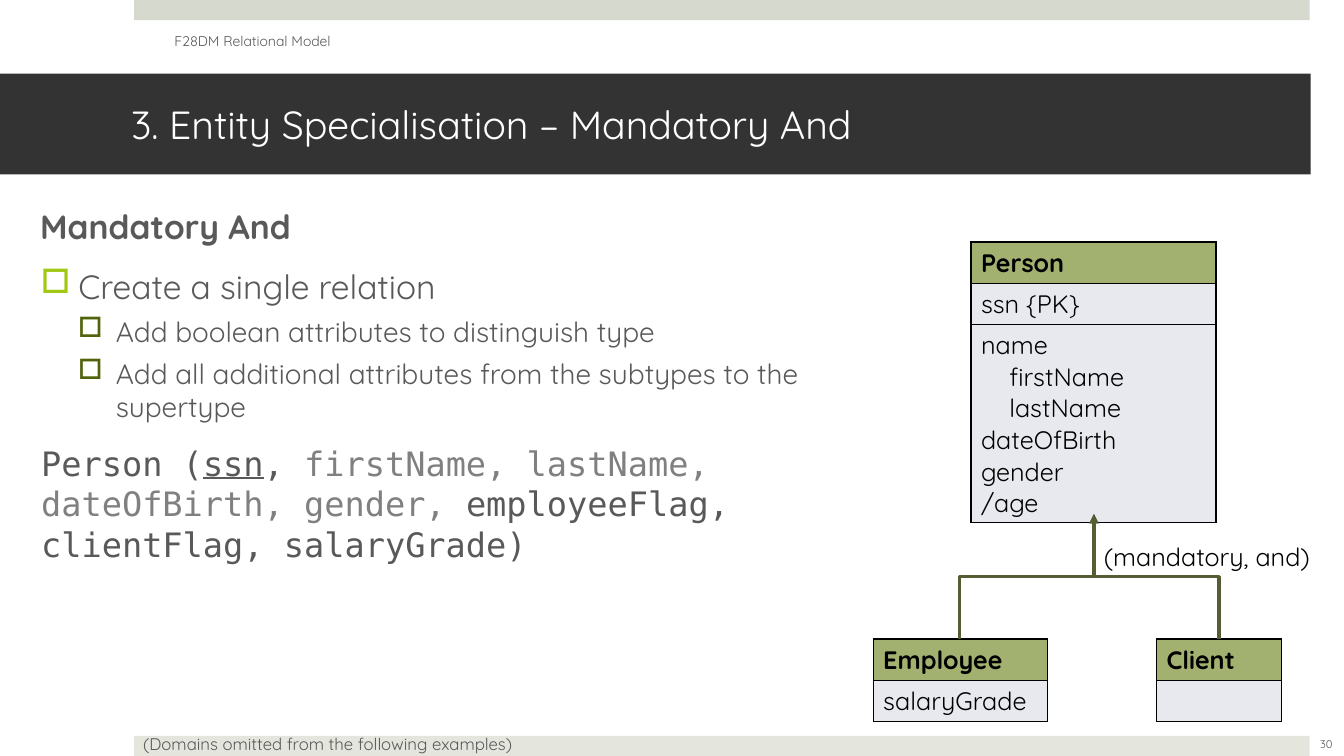
from lxml.etree import SubElement
from pptx import Presentation
from pptx.dml.color import RGBColor
from pptx.enum.shapes import MSO_CONNECTOR, MSO_SHAPE
from pptx.enum.text import MSO_ANCHOR, MSO_AUTO_SIZE, PP_ALIGN
from pptx.oxml.ns import qn
from pptx.util import Inches, Pt

SANS, MONO = "Quicksand", "DejaVu Sans Mono"
GREY, BLACK, WHITE = "595959", "000000", "FFFFFF"
HEADER_FILL, CELL_FILL, LINK = "A2B170", "E8E9EF", "545D33"

TITLE = "3. Entity Specialisation – Mandatory And"
BARS = [(0, "D6D9CD"), (7.3, "E4E6DE")]

HEADING = {"size": 24, "bold": True}
POINT = {"size": 24}
SUBPOINT = {"size": 20}
CODE = {"size": 24, "name": MONO}
BODY = [
    {"runs": [("Mandatory And", HEADING)]},
    {"runs": [("Create a single relation", POINT)],
     "before": 14, "left": 0.38, "bullet": "A2C816"},
    {"runs": [("Add boolean attributes to distinguish type", SUBPOINT)],
     "before": 6, "left": 0.75, "bullet": "51640B", "level": 1},
    {"runs": [("Add all additional attributes from the subtypes to the supertype", SUBPOINT)],
     "before": 6, "left": 0.75, "bullet": "51640B", "level": 1},
    {"runs": [("Person (", CODE),
              ("ssn", {**CODE, "underline": True}),
              (", ", CODE),
              ("firstName, lastName, dateOfBirth, gender, ", {**CODE, "color": "808080"}),
              ("employeeFlag, clientFlag, salaryGrade)", CODE)],
     "before": 14, "left": 0.01},
]

LABELS = [
    ("F28DM Relational Model", (1.63, 0.21, 4.22, 0.4), {"size": 10},
     {"vertical_anchor": MSO_ANCHOR.MIDDLE}, PP_ALIGN.LEFT),
    ("30", (12.82, 7.18, 0.67, 0.4), {"size": 8},
     {"vertical_anchor": MSO_ANCHOR.MIDDLE}, PP_ALIGN.CENTER),
    ("(mandatory, and)", (10.85, 5.32, 2.64, 0.4), {"size": 18, "color": BLACK},
     {}, PP_ALIGN.LEFT),
    ("(Domains omitted from the following examples)", (1.32, 7.23, 4.08, 0.3), {"size": 12},
     {"word_wrap": False}, PP_ALIGN.LEFT),
]

ROW, TEXT_LINE = 0.41, 0.31
NESTED = {"firstName", "lastName"}
ENTITIES = [
    (8.66, 6.34, 1.73, "Employee", [["salaryGrade"]]),
    (11.47, 6.34, 1.24, "Client", [[""]]),
    (9.63, 2.4, 2.43, "Person",
     [["ssn {PK}"], ["name", "firstName", "lastName", "dateOfBirth", "gender", "/age"]]),
]
SUPERTYPE_END = (10.85, 5.1)
SUBTYPE_STARTS = [(9.52, 6.34), (12.09, 6.34)]


def rgb(value):
    return RGBColor.from_string(value)


def place(box):
    return [Inches(length) for length in box]


def apply(target, values):
    for key, value in values.items():
        setattr(target, key, value)


def write(paragraph, text, fmt):
    values = {"name": SANS, "bold": False, **fmt}
    color = values.pop("color", GREY)
    values["size"] = Pt(values["size"])
    run = paragraph.add_run()
    run.text = text
    apply(run.font, values)
    run.font.color.rgb = rgb(color)


def paragraphs(frame, count):
    return [frame.paragraphs[0]] + [frame.add_paragraph() for _ in range(count - 1)]


def indent(paragraph, left, hanging=0):
    props = paragraph._p.get_or_add_pPr()
    props.set("marL", str(Inches(left)))
    props.set("indent", str(-Inches(hanging)))
    return props


def solid(parent, color):
    fill = SubElement(parent, qn("a:solidFill"))
    SubElement(fill, qn("a:srgbClr"), val=color)


def add_bars(slide):
    for top, color in BARS:
        bar = slide.shapes.add_shape(MSO_SHAPE.RECTANGLE, *place((1.33, top, 11.66, 0.2)))
        bar.shadow.inherit = False
        bar.fill.solid()
        bar.fill.fore_color.rgb = rgb(color)
        bar.line.fill.background()


def add_title(slide):
    title = slide.shapes.title
    apply(title, dict(zip(("left", "top", "width", "height"), place((0, 0.73, 13, 1)))))
    title.fill.solid()
    title.fill.fore_color.rgb = rgb("333333")
    apply(title.text_frame, {
        "margin_left": Inches(1.3), "margin_right": Inches(0.3),
        "vertical_anchor": MSO_ANCHOR.MIDDLE, "auto_size": MSO_AUTO_SIZE.NONE,
    })
    heading = title.text_frame.paragraphs[0]
    heading.alignment = PP_ALIGN.LEFT
    write(heading, TITLE, {"size": 28, "color": WHITE})


def add_body(slide):
    frame = slide.shapes.add_textbox(*place((0.3, 1.99, 8.36, 3.97))).text_frame
    frame.word_wrap = True
    for paragraph, item in zip(paragraphs(frame, len(BODY)), BODY):
        paragraph.level = item.get("level", 0)
        paragraph.space_before = Pt(item.get("before", 0))
        bullet = item.get("bullet")
        props = indent(paragraph, item.get("left", 0), 0.375 if bullet else 0)
        if bullet:
            color = SubElement(props, qn("a:buClr"))
            SubElement(color, qn("a:srgbClr"), val=bullet)
            SubElement(props, qn("a:buChar"), char="□")
        for text, fmt in item["runs"]:
            write(paragraph, text, fmt)


def add_labels(slide):
    for text, box, fmt, layout, alignment in LABELS:
        frame = slide.shapes.add_textbox(*place(box)).text_frame
        apply(frame, {"word_wrap": True, **layout})
        frame.paragraphs[0].alignment = alignment
        write(frame.paragraphs[0], text, fmt)


def fill_cell(cell, lines, color, bold):
    props = cell._tc.get_or_add_tcPr()
    for side in ("a:lnL", "a:lnR", "a:lnT", "a:lnB"):
        solid(SubElement(props, qn(side), w=str(Pt(1))), BLACK)
    cell.fill.solid()
    cell.fill.fore_color.rgb = rgb(color)
    for paragraph, line in zip(paragraphs(cell.text_frame, len(lines)), lines):
        if line in NESTED:
            indent(paragraph, 0.28)
        if line:
            write(paragraph, line, {"size": 18, "color": BLACK, "bold": bold})


def add_entities(slide):
    for left, top, width, name, sections in ENTITIES:
        rows = [[name]] + sections
        heights = [ROW + TEXT_LINE * (len(lines) - 1) for lines in rows]
        box = place((left, top, width, sum(heights)))
        entity = slide.shapes.add_table(len(rows), 1, *box).table
        for index, (lines, height) in enumerate(zip(rows, heights)):
            entity.rows[index].height = Inches(height)
            header = index == 0
            fill_cell(entity.cell(index, 0), lines, HEADER_FILL if header else CELL_FILL, header)


def add_links(slide):
    end_x, end_y = SUPERTYPE_END
    for start_x, start_y in SUBTYPE_STARTS:
        mid_x, mid_y = (start_x + end_x) / 2, (start_y + end_y) / 2
        dx, dy = start_x - mid_x, start_y - mid_y
        turned = place((mid_x - dy, mid_y + dx, mid_x + dy, mid_y - dx))
        link = slide.shapes.add_connector(MSO_CONNECTOR.ELBOW, *turned)
        link.line.color.rgb = rgb(LINK)
        link.line.width = Pt(2.25)
        props = link._element.spPr
        props.find(qn("a:xfrm")).set("rot", str(270 * 60000))
        SubElement(props.find(qn("a:ln")), qn("a:tailEnd"), type="triangle")
        SubElement(props, qn("a:effectLst"))


def main():
    deck = Presentation()
    deck.slide_width, deck.slide_height = Inches(13.33), Inches(7.5)
    slide = deck.slides.add_slide(deck.slide_layouts[5])
    for add_part in (add_bars, add_title, add_body, add_entities, add_links, add_labels):
        add_part(slide)
    deck.save("out.pptx")


if __name__ == "__main__":
    main()
